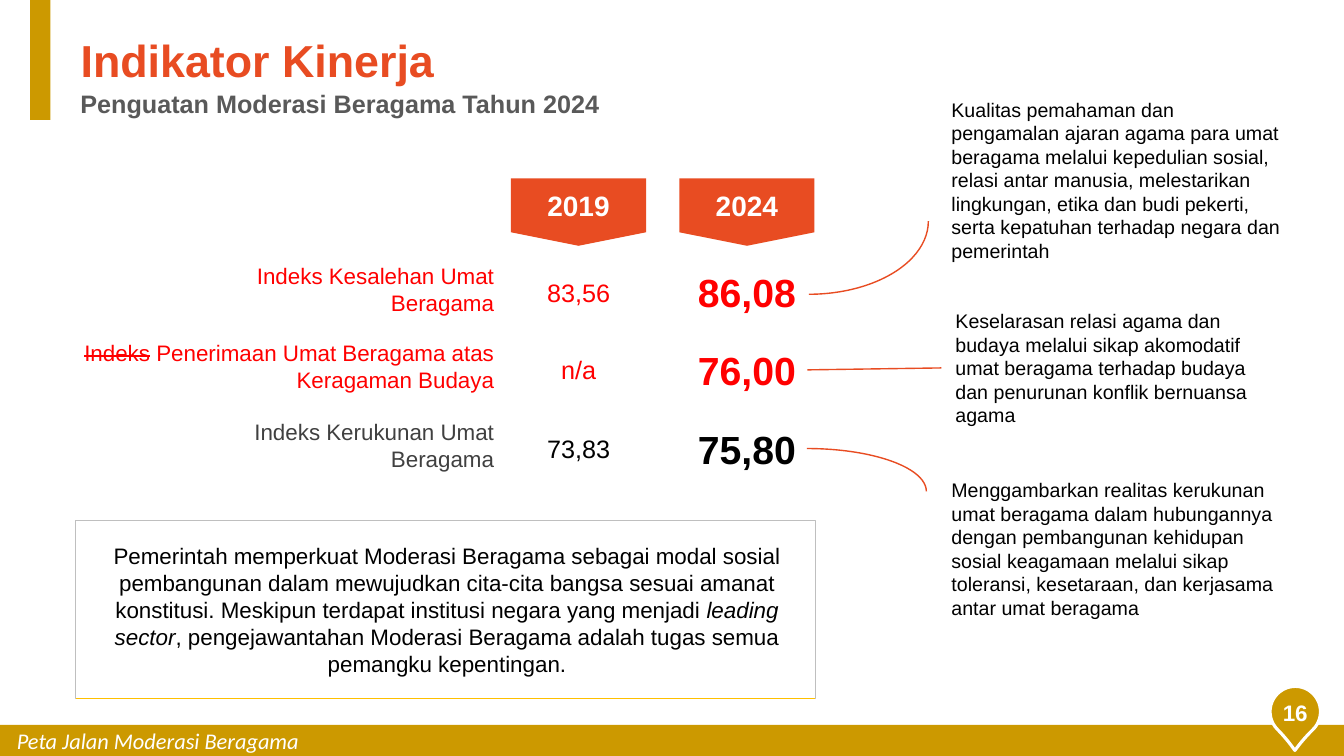
from pptx import Presentation
from pptx.dml.color import RGBColor
from pptx.enum.shapes import MSO_CONNECTOR, MSO_SHAPE
from pptx.enum.text import MSO_ANCHOR, PP_ALIGN
from pptx.oxml.ns import qn
from pptx.util import Pt
from lxml.etree import SubElement

GOLD = RGBColor(0xCC, 0x99, 0x00)
AMBER = RGBColor(0xFF, 0xC0, 0x00)
ORANGE = RGBColor(0xE8, 0x4C, 0x22)
RED = RGBColor(0xFF, 0x00, 0x00)
BLACK = RGBColor(0x00, 0x00, 0x00)
WHITE = RGBColor(0xFF, 0xFF, 0xFF)
DARK = RGBColor(0x40, 0x40, 0x40)
GREY = RGBColor(0x59, 0x59, 0x59)
SILVER = RGBColor(0xBF, 0xBF, 0xBF)

LABEL_RIGHT = 360
VALUE_2019 = (378.7, 69.1)
VALUE_2024 = (485.3, 96.5)
YEARS = [("2019", 365), ("2024", 485.3)]

# top, label width, label runs, value 2019, value 2024, value colour
INDICATORS = [
    (183.6, 237.6, [("Indeks Kesalehan Umat Beragama", {"color": RED})],
     "83,56", "86,08", RED),
    (239, 327.6, [("Indeks", {"color": RED, "strike": True}),
                  (" ", {"color": DARK}),
                  ("Penerimaan Umat Beragama atas Keragaman Budaya", {"color": RED})],
     "n/a", "76,00", RED),
    (295.2, 254.2, [("Indeks Kerukunan Umat Beragama", {"color": DARK})],
     "73,83", "75,80", BLACK),
]

NOTES = [
    ((672.5, 65.5, 250.6, 126),
     "Kualitas pemahaman dan pengamalan ajaran agama para umat beragama melalui "
     "kepedulian sosial, relasi antar manusia, melestarikan lingkungan, etika dan "
     "budi pekerti, serta kepatuhan terhadap negara dan pemerintah"),
    ((675.4, 216.7, 247.7, 92.2),
     "Keselarasan relasi agama dan budaya melalui sikap akomodatif umat beragama "
     "terhadap budaya dan penurunan konflik bernuansa agama"),
    ((672.5, 329, 250.6, 126),
     "Menggambarkan realitas kerukunan umat beragama dalam hubungannya dengan "
     "pembangunan kehidupan sosial keagamaan melalui sikap toleransi, kesetaraan, "
     "dan kerjasama antar umat beragama"),
]

MESSAGE = [
    ("Pemerintah memperkuat Moderasi Beragama sebagai modal sosial pembangunan dalam "
     "mewujudkan cita-cita bangsa sesuai amanat konstitusi. Meskipun terdapat "
     "institusi negara yang menjadi ", {}),
    ("leading sector", {"italic": True}),
    (", pengejawantahan Moderasi Beragama adalah tugas semua pemangku kepentingan.", {}),
]


class SlideBuilder:
    """Adds styled elements to one slide, with lengths in points."""

    style = {"name": "Arial", "size": 16, "color": BLACK, "bold": False, "italic": False}

    def __init__(self, slide):
        self.s = slide

    def fill_text(self, sp, runs, align=PP_ALIGN.LEFT, anchor=MSO_ANCHOR.TOP, **fmt):
        """Fill a shape with one paragraph; runs is a string or (text, format) pairs."""
        tf = sp.text_frame
        tf.word_wrap = True
        tf.vertical_anchor = anchor
        p = tf.paragraphs[0]
        p.alignment = align
        for text, own in [(runs, {})] if isinstance(runs, str) else runs:
            r = p.add_run()
            r.text = text
            look = {**self.style, **fmt, **own}
            r.font.size = Pt(look.pop("size"))
            r.font.color.rgb = look.pop("color")
            if look.pop("strike", False):
                r._r.get_or_add_rPr().set("strike", "sngStrike")
            for name, value in look.items():
                setattr(r.font, name, value)
        return p

    def text(self, box, runs, **fmt):
        sp = self.s.shapes.add_textbox(*map(Pt, box))
        self.fill_text(sp, runs, **fmt)

    def title(self, box, text, **fmt):
        sp = self.s.shapes.title
        for name, value in zip(("left", "top", "width", "height"), box):
            setattr(sp, name, Pt(value))
        p = self.fill_text(sp, text, **fmt)
        p.line_spacing = 0.9
        p.space_before = Pt(0)

    def shape(self, kind, box, fill=None, line=None, weight=1, rotation=0):
        sp = self.s.shapes.add_shape(kind, *map(Pt, box))
        sp.shadow.inherit = False
        sp.rotation = rotation
        if fill is None:
            sp.fill.background()
        else:
            sp.fill.solid()
            sp.fill.fore_color.rgb = fill
        if line is None:
            sp.line.fill.background()
        else:
            sp.line.color.rgb = line
            sp.line.width = Pt(weight)
        return sp

    def arc(self, box, rotation, flip=False):
        sp = self.shape(MSO_SHAPE.ARC, box, line=ORANGE, rotation=rotation)
        if flip:
            sp._element.spPr.find(qn("a:xfrm")).set("flipV", "1")

    def line(self, ends, color, weight=1):
        c = self.s.shapes.add_connector(MSO_CONNECTOR.STRAIGHT, *map(Pt, ends))
        c.line.color.rgb = color
        c.line.width = Pt(weight)
        SubElement(c._element.spPr, qn("a:effectLst"))


def main():
    prs = Presentation()
    prs.slide_width, prs.slide_height = Pt(960), Pt(540)
    s = SlideBuilder(prs.slides.add_slide(prs.slide_layouts[5]))
    center, right, middle = PP_ALIGN.CENTER, PP_ALIGN.RIGHT, MSO_ANCHOR.MIDDLE

    s.shape(MSO_SHAPE.RECTANGLE, (0, 517.7, 960, 22.3), GOLD)
    s.text((5, 515.5, 253.4, 26.6), "Peta Jalan Moderasi Beragama",
           name="Calibri", color=WHITE, italic=True)
    pin = s.shape(MSO_SHAPE.TEAR, (907.2, 490.3, 36, 36), GOLD, WHITE, 2.25, 135.6)
    pin.adjustments[0] = 1.09
    s.text((907.2, 496.1, 36, 26.6), "16", align=center, color=WHITE, bold=True)

    s.shape(MSO_SHAPE.RECTANGLE, (21.6, -0.7, 14.4, 86.4), GOLD)
    s.title((50.4, 23.8, 312.5, 49.7), "Indikator Kinerja",
            size=32, color=ORANGE, bold=True)
    s.text((50.4, 59.8, 516.2, 28.8), "Penguatan Moderasi Beragama Tahun 2024",
           size=18, color=GREY, bold=True)

    for year, left in YEARS:
        tag = s.shape(MSO_SHAPE.FLOWCHART_OFFPAGE_CONNECTOR,
                      (left, 127.4, 96.5, 48.2), ORANGE)
        s.fill_text(tag, year, align=center, anchor=middle,
                    size=20, color=WHITE, bold=True)

    for top, width, label, before, after, color in INDICATORS:
        s.text((LABEL_RIGHT - width, top, width, 46.1), label, align=right)
        left, width = VALUE_2019
        s.text((left, top + 10.8, width, 28.8), before,
               align=center, size=18, color=color)
        left, width = VALUE_2024
        s.text((left, top + 4.8, width, 41), after,
               align=center, size=28, color=color, bold=True)

    for box, note in NOTES:
        s.text(box, note, anchor=middle, size=14)
    s.arc((525.6, 72.7, 104.4, 170.6), 90)
    s.line((576.7, 264.2, 672.5, 262.8), ORANGE)
    s.arc((545.8, 265.7, 61.2, 170.6), 270, flip=True)

    s.shape(MSO_SHAPE.RECTANGLE, (54, 371.5, 528.5, 127.4), line=SILVER, weight=0.75)
    s.line((54, 498.9, 582.5, 498.9), AMBER)
    s.text((66.2, 383.8, 506.2, 104.4), MESSAGE, align=center)

    prs.save("out.pptx")


if __name__ == "__main__":
    main()
